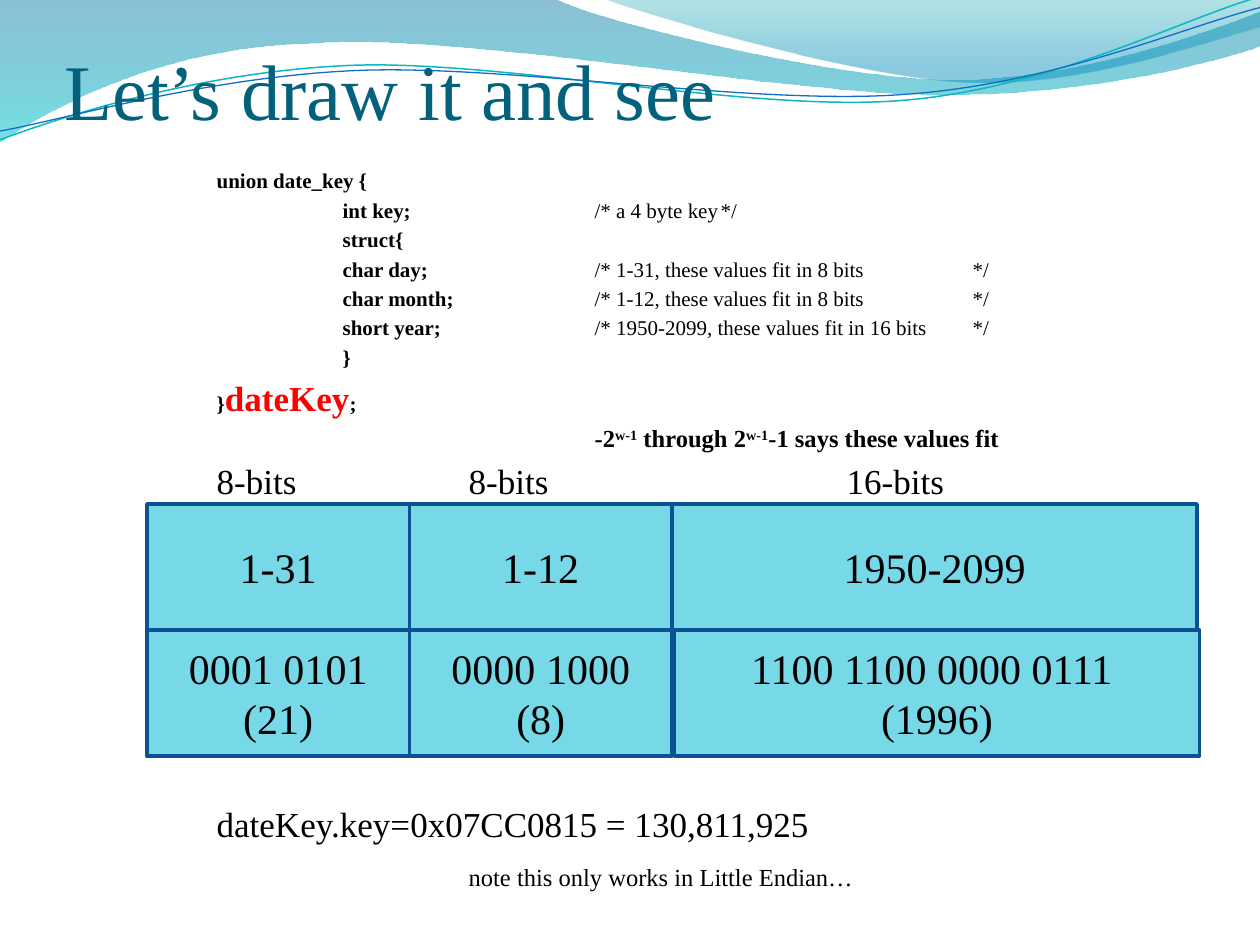
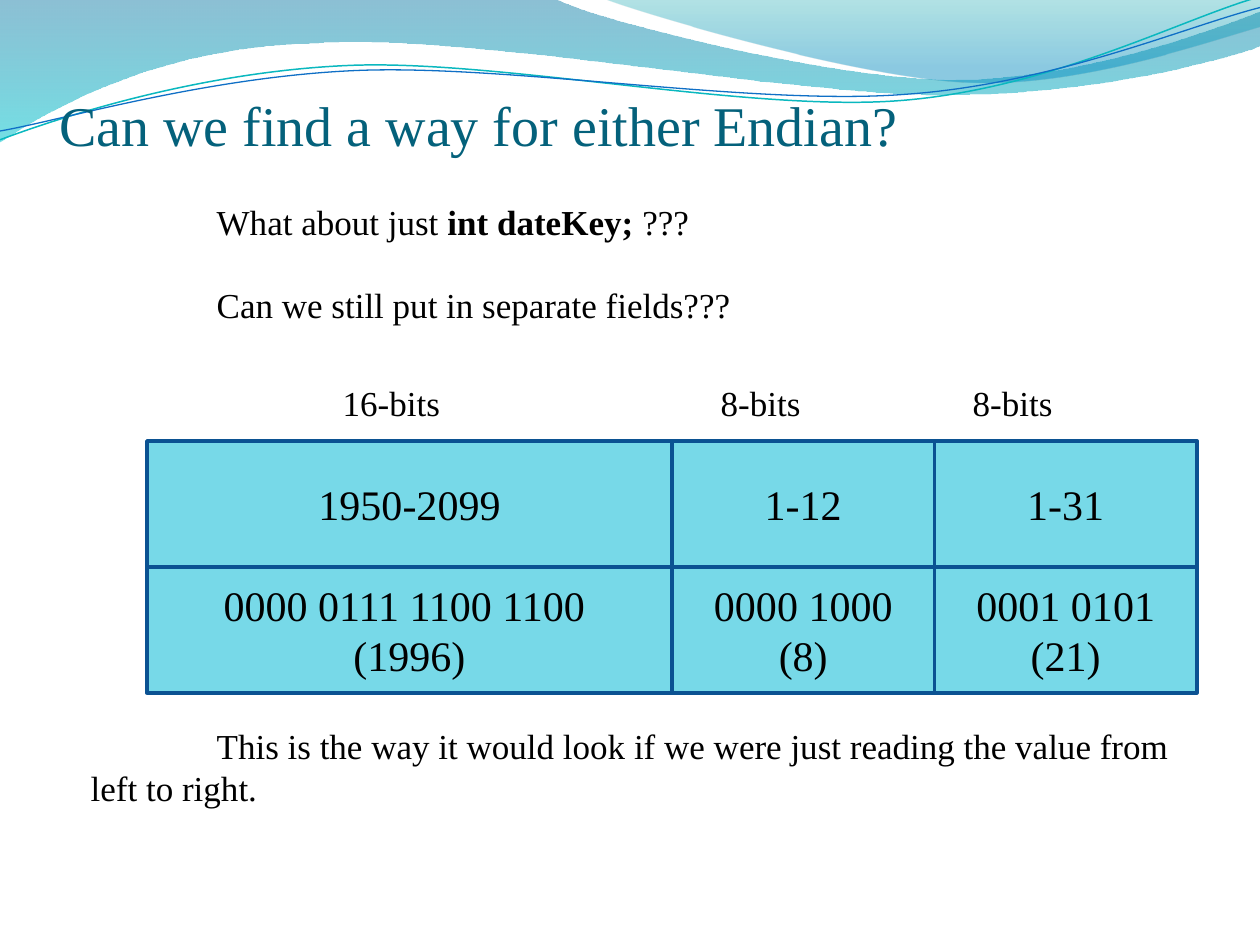
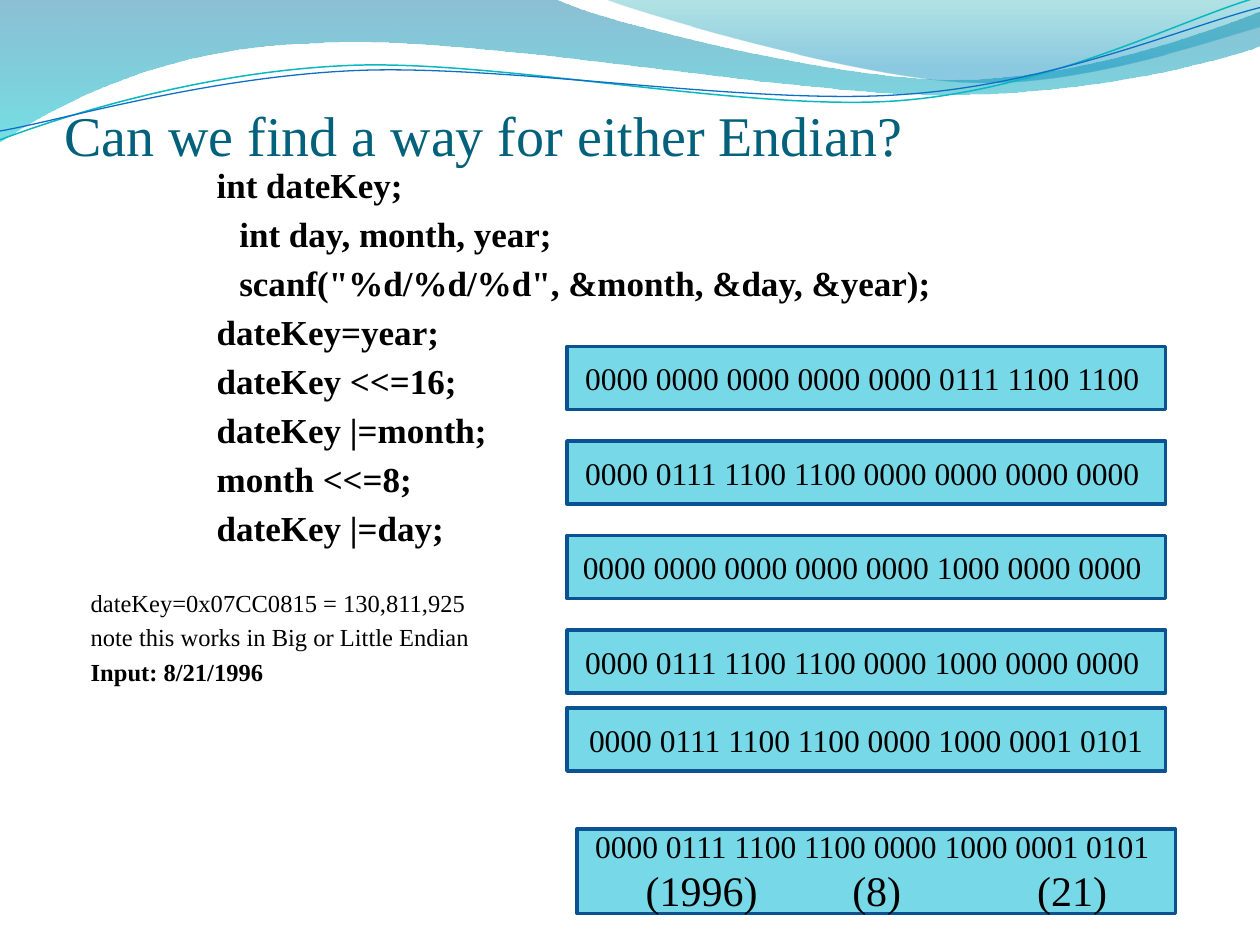
from lxml import etree
from pptx import Presentation
from pptx.dml.color import RGBColor
from pptx.enum.shapes import MSO_SHAPE
from pptx.enum.text import MSO_ANCHOR, PP_ALIGN
from pptx.oxml.ns import qn
from pptx.util import Inches, Pt

RECTANGLE = MSO_SHAPE.RECTANGLE
TOP, MIDDLE, BOTTOM = MSO_ANCHOR.TOP, MSO_ANCHOR.MIDDLE, MSO_ANCHOR.BOTTOM
LEFT, CENTER = PP_ALIGN.LEFT, PP_ALIGN.CENTER

FONT = "Times New Roman"
COLORS = {
    "title": "04617B", "ink": "000000", "accent": "FF0000",
    "cell": "77D9E8", "border": "0B5292",
    "wave_blue": "0074A1", "wave_cyan": "00C6CF",
    "crest_teal": "00A1A9", "crest_blue": "008BBF",
    "line_teal": "0AB8BF", "line_blue": "0F6FC6",
}
BODY_TABS = range(1, 9)
CODE_TABS = [1.18]
BLANK_ROWS_GAP = 172
BYTE_WIDTH = 25 / 12
GRID_LEFT = 9.5 - 4 * BYTE_WIDTH
CELL_HEIGHT = 1

WAVE = [(0, 0), (4.4, -0.01),
        (4.76, 0.17, 6.64, 0.63, 7.58, 0.63), (8.53, 0.63, 9.58, 0.26, 10, 0.09),
        (10.01, 0.36),
        (9.83, 0.44, 8.7, 0.76, 7.46, 0.75), (6.22, 0.75, 3.82, 0.28, 2.57, 0.34),
        (1.29, 0.36, 0.46, 0.83, -0.01, 1.13), (0, 0)]
CREST = [(4.79, -0.01), (5.09, 0.11, 6.82, 0.62, 7.69, 0.65),
         (8.56, 0.69, 9.61, 0.32, 10, 0.21), (10, 0), (4.79, -0.01)]
TEAL_CURVE = [(0, 1.11), (0.48, 0.93, 1.58, 0.57, 2.77, 0.52),
              (3.95, 0.47, 5.93, 0.89, 7.13, 0.8),
              (8.33, 0.71, 9.38, 0.15, 9.98, -0.02)]
BLUE_CURVE = [(0, 1.04), (0.47, 0.96, 1.64, 0.61, 2.83, 0.56),
              (4.03, 0.51, 5.97, 0.84, 7.17, 0.75), (8.36, 0.67, 9.41, 0.21, 10, 0.06)]

DAY = (1, "1-31", ["0001 0101", "(21)"])
MONTH = (1, "1-12", ["0000 1000", "(8)"])
YEAR_SWAPPED = (2, "1950-2099", ["1100 1100 0000 0111 ", "(1996)"])
YEAR = (2, "1950-2099", ["0000 0111 1100 1100 ", "(1996)"])


def rgb(name):
    """Return the named colour."""
    return RGBColor.from_string(COLORS[name])


def add_outline(slide, outline, close):
    """Add a freeform of straight and cubic segments."""
    corners = [(Inches(segment[-2]), Inches(segment[-1])) for segment in outline]
    builder = slide.shapes.build_freeform(*corners[0])
    builder.add_line_segments(corners[1:], close=close)
    shape = builder.convert_to_shape()
    shape.shadow.inherit = False
    straight_parts = list(shape._element.spPr.iter(qn("a:lnTo")))
    for part, segment in zip(straight_parts, outline[1:]):
        if len(segment) == 6:
            curve = etree.Element(qn("a:cubicBezTo"))
            for x, y in zip(segment[::2], segment[1::2]):
                etree.SubElement(curve, qn("a:pt"), x=str(Inches(x) - shape.left),
                                 y=str(Inches(y) - shape.top))
            part.getparent().replace(part, curve)
    return shape


def add_wave(slide, outline, stops):
    """Add a closed wave with a translucent vertical gradient."""
    shape = add_outline(slide, outline, True)
    shape.line.fill.background()
    shape.fill.gradient()
    shape.fill.gradient_angle = 270
    for stop, (position, color, _) in zip(shape.fill.gradient_stops, stops):
        stop.position = position
        stop.color.rgb = rgb(color)
    elements = list(shape._element.spPr.iter(qn("a:srgbClr")))
    for element, (_, _, opacity) in zip(elements, stops):
        etree.SubElement(element, qn("a:alpha"), val=str(opacity * 1000))


def add_curve(slide, outline, color, width):
    """Add an open curved line."""
    shape = add_outline(slide, outline, False)
    shape.fill.background()
    shape.line.color.rgb = rgb(color)
    shape.line.width = Pt(width)


def add_header_waves(slide):
    """Draw the band of waves shared by all slides."""
    add_wave(slide, WAVE, [(0, "wave_blue", 45), (1, "wave_cyan", 55)])
    add_wave(slide, CREST, [(0, "crest_teal", 30), (0.8, "crest_blue", 45)])
    add_curve(slide, TEAL_CURVE, "line_teal", 0.85)
    add_curve(slide, BLUE_CURVE, "line_blue", 0.75)


def add_run(paragraph, text, size=20, bold=False, color="ink", raised=False):
    """Append a formatted run to a paragraph."""
    run = paragraph.add_run()
    run.text = text
    run.font.name = FONT
    run.font.size = Pt(size)
    run.font.bold = bold
    run.font.color.rgb = rgb(color)
    if raised:
        run.font._element.set("baseline", "30000")


def add_tabs(paragraph, positions, alignment="l"):
    """Give a paragraph its tab stops."""
    tabs = etree.SubElement(paragraph._p.get_or_add_pPr(), qn("a:tabLst"))
    for position in positions:
        etree.SubElement(tabs, qn("a:tab"), pos=str(Inches(position)), algn=alignment)


def add_text_box(slide, box, anchor, margins):
    """Add a wrapping text box and return its text frame."""
    frame = slide.shapes.add_textbox(*map(Inches, box)).text_frame
    frame.word_wrap = True
    frame.vertical_anchor = anchor
    (frame.margin_left, frame.margin_top,
     frame.margin_right, frame.margin_bottom) = map(Inches, margins)
    return frame


def add_title(slide, text, box, size):
    """Add the slide title."""
    frame = add_text_box(slide, box, BOTTOM, (0, 0.05, 0, 0))
    add_run(frame.paragraphs[0], text, size=size, color="title")


def add_body(slide, lines, top_margin=0.05):
    """Add the body from (runs, paragraph options) lines."""
    frame = add_text_box(slide, (0.5, 1.25, 9, 6.17), TOP, (0.22, top_margin, 0.1, 0.05))
    for index, (runs, options) in enumerate(lines):
        paragraph = frame.add_paragraph() if index else frame.paragraphs[0]
        add_tabs(paragraph, options.get("tabs", BODY_TABS))
        if index:
            largest = max(style.get("size", 20) for _, style in runs)
            paragraph.space_before = Pt(options.get("gap", largest / 5))
        for text, style in runs:
            add_run(paragraph, text, **style)


def line(text, tabs=BODY_TABS, gap=None, **style):
    """Describe a body line with a single run."""
    options = {"tabs": tabs}
    if gap is not None:
        options["gap"] = gap
    return [(text, style)], options


def declaration(code, remark=""):
    """Describe a line of the union with its remark."""
    runs = [(code, {"size": 12, "bold": True})]
    if remark:
        runs.append((remark, {"size": 12}))
    return runs, {}


def add_cell(slide, box, lines, size=24):
    """Add a bordered cell with centred lines."""
    shape = slide.shapes.add_shape(RECTANGLE, *map(Inches, box))
    shape.shadow.inherit = False
    shape.fill.solid()
    shape.fill.fore_color.rgb = rgb("cell")
    shape.line.color.rgb = rgb("border")
    shape.line.width = Pt(2)
    frame = shape.text_frame
    frame.vertical_anchor = MIDDLE
    for index, text in enumerate(lines):
        paragraph = frame.add_paragraph() if index else frame.paragraphs[0]
        paragraph.alignment = CENTER
        add_run(paragraph, text, size=size)
    return shape


def add_bit_fields(slide, top, fields, year_shift=0):
    """Draw the ranges of the fields above their bit values."""
    left = GRID_LEFT
    for byte_count, value_range, bits in fields:
        width = byte_count * BYTE_WIDTH
        shift = year_shift if byte_count == 2 else 0
        add_cell(slide, (left, top, width, CELL_HEIGHT), [value_range])
        add_cell(slide, (left + shift, top + CELL_HEIGHT, width, CELL_HEIGHT), bits)
        left += width


def add_decoded_key(slide):
    """Draw the final key with its three values below the bits."""
    shape = add_cell(slide, (4.58, 6.58, 4.75, 0.67),
                     ["0000 0111 1100 1100 0000 1000 0001 0101 "], size=18)
    paragraph = shape.text_frame.add_paragraph()
    paragraph.alignment = LEFT
    add_tabs(paragraph, (0.89, 2.28, 3.83), "ctr")
    add_run(paragraph, "\t(1996)\t(8)\t(21)", size=24)


def build_union_slide(slide):
    """Show the union and its layout in memory."""
    small = {"size": 12, "bold": True}
    formula = {"size": 14, "bold": True}
    power = {**formula, "raised": True}
    add_body(slide, [
        ([("\t", formula), ("union date_key {", small)], {}),
        declaration("\t\tint key;", "\t\t/* a 4 byte key\t*/"),
        declaration("\t\tstruct{"),
        declaration("\t\tchar day;", "\t\t/* 1-31, these values fit in 8 bits\t*/"),
        declaration("\t\tchar month;", "\t\t/* 1-12, these values fit in 8 bits \t*/"),
        declaration("\t\tshort year;",
                    "\t\t/* 1950-2099, these values fit in 16 bits \t*/"),
        declaration("\t\t}"),
        ([("\t}", small), ("dateKey", {"bold": True, "color": "accent"}),
          (";", small)], {}),
        ([("\t\t\t\t-2", formula), ("w-1", power), (" through 2", formula),
          ("w-1", power), ("-1 says these values fit", formula)], {}),
        line("\t8-bits\t\t8-bits\t\t\t16-bits"),
        line("\tdateKey.key=0x07CC0815 = 130,811,925", gap=BLANK_ROWS_GAP),
        ([("\t\t\t", {}), ("note this only works in Little Endian…", {"size": 14})], {}),
    ])
    add_title(slide, "Let’s draw it and see", (0.51, 0.33, 9, 0.75), 45)
    add_bit_fields(slide, 4, [DAY, MONTH, YEAR_SWAPPED], year_shift=0.02)


def build_question_slide(slide):
    """Show the fields read from left to right."""
    add_body(slide, [
        ([("\tWhat about just ", {}), ("int dateKey; ", {"bold": True}), ("???", {})], {}),
        line("\tCan we still put in separate fields???", gap=23.4),
        line("\t\t16-bits\t\t\t8-bits\t\t8-bits", gap=32),
        line("\tThis is the way it would look if we were just reading the value "
             "from left to right.", gap=BLANK_ROWS_GAP),
    ], top_margin=0.34)
    add_title(slide, "Can we find a way for either Endian?", (0.47, 0, 9, 1.25), 32)
    add_bit_fields(slide, 3.5, [YEAR, MONTH, DAY])


def build_shift_slide(slide):
    """Show the code that shifts the fields into the key."""
    code = ["dateKey=year;", "dateKey <<=16;", "dateKey |=month;",
            "month <<=8;", "dateKey |=day;"]
    add_body(slide, [
        line("\tint dateKey;", bold=True),
        line("\tint day, month, year;", tabs=CODE_TABS, bold=True),
        line('\tscanf("%d/%d/%d", &month, &day, &year);', tabs=CODE_TABS, bold=True),
        *[line("\t" + statement, bold=True) for statement in code],
        line("dateKey=0x07CC0815 = 130,811,925", gap=22.4, size=14),
        line("note this works in Big or Little Endian", size=14),
        line("Input: 8/21/1996", size=14, bold=True),
    ])
    add_title(slide, "Can we find a way for either Endian?", (0.51, 0.08, 9, 1.25), 32)
    steps = [(2.75, "0000 0000 0000 0000 0000 0111 1100 1100 "),
             (3.5, "0000 0111 1100 1100 0000 0000 0000 0000 "),
             (4.25, "0000 0000 0000 0000 0000 1000 0000 0000 "),
             (5, "0000 0111 1100 1100 0000 1000 0000 0000 "),
             (5.62, "0000 0111 1100 1100 0000 1000 0001 0101")]
    for top, bits in steps:
        add_cell(slide, (4.5, top, 4.75, 0.5), [bits], size=18)
    add_decoded_key(slide)


def main():
    """Build and save the presentation."""
    presentation = Presentation()
    presentation.slide_width = Inches(10)
    presentation.slide_height = Inches(7.5)
    for build in (build_union_slide, build_question_slide, build_shift_slide):
        slide = presentation.slides.add_slide(presentation.slide_layouts[6])
        add_header_waves(slide)
        build(slide)
    presentation.save("out.pptx")


if __name__ == "__main__":
    main()
